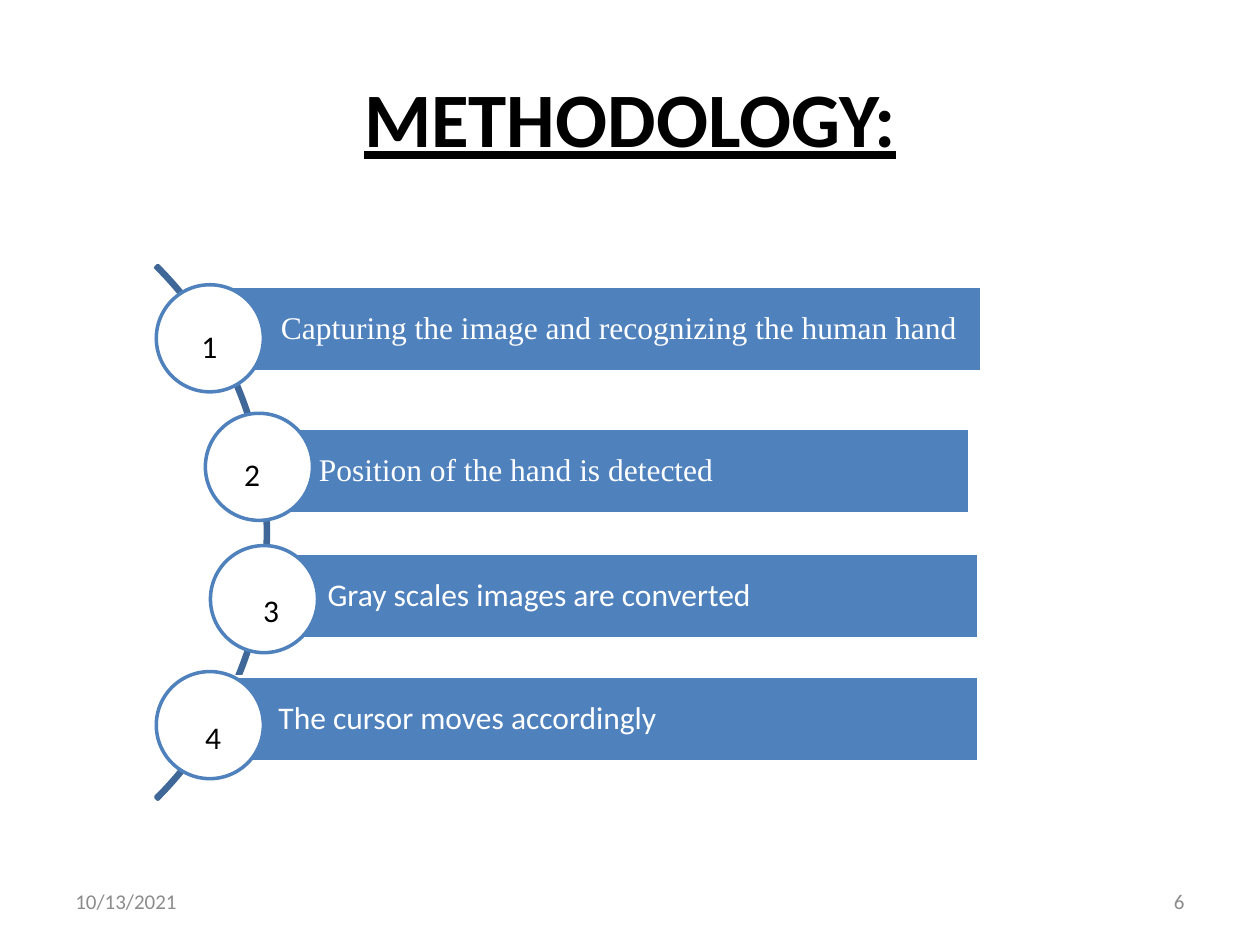
from pptx import Presentation
from pptx.dml.color import RGBColor
from pptx.enum.shapes import MSO_SHAPE as Shape
from pptx.enum.text import MSO_ANCHOR as Anchor, MSO_AUTO_SIZE as AutoSize, PP_ALIGN as Align
from pptx.util import Inches, Pt

BLUE, ARC_BLUE, WHITE, BLACK, GRAY = "4F81BD", "3F6797", "FFFFFF", "000000", "8C8C8C"


def write(target, text, size=18, font="Calibri", color=BLACK, bold=False, underline=False,
          align=Align.LEFT, anchor=Anchor.MIDDLE, wrap=True, margins=(0.1, 0.05, 0.1, 0.05),
          spacing=None):
    frame = target.text_frame
    frame.auto_size = AutoSize.NONE if wrap else AutoSize.SHAPE_TO_FIT_TEXT
    frame.word_wrap = wrap
    frame.vertical_anchor = anchor
    frame.margin_left, frame.margin_top, frame.margin_right, frame.margin_bottom = map(Inches, margins)
    paragraph = frame.paragraphs[0]
    paragraph.alignment = align
    paragraph.line_spacing = spacing
    run = paragraph.add_run()
    run.text = text
    run.font.size = Pt(size)
    run.font.name = font
    run.font.bold = bold
    run.font.underline = underline
    run.font.color.rgb = RGBColor.from_string(color)


def draw(kind, left, top, width, height, line, fill=None):
    shape = slide.shapes.add_shape(kind, Inches(left), Inches(top), Inches(width), Inches(height))
    shape.shadow.inherit = False
    if fill:
        shape.fill.solid()
        shape.fill.fore_color.rgb = RGBColor.from_string(fill)
    else:
        shape.fill.background()
    shape.line.color.rgb = RGBColor.from_string(line)
    shape.line.width = Pt(2)
    return shape


prs = Presentation()
prs.slide_width, prs.slide_height = Inches(10), Inches(7.5)
slide = prs.slides.add_slide(prs.slide_layouts[5])

title = slide.shapes.title
title.left, title.top, title.width, title.height = map(Inches, (0.5, 0.3, 9, 1.25))
write(title, "METHODOLOGY:", size=44, bold=True, underline=True, align=Align.CENTER)

for footer, left, align in [("10/13/2021", 0.5, Align.LEFT), ("6", 7.17, Align.RIGHT)]:
    box = slide.shapes.add_textbox(Inches(left), Inches(6.95), Inches(2.33), Inches(0.4))
    write(box, footer, size=12, color=GRAY, align=align)

arc = draw(Shape.BLOCK_ARC, -3.86, 1.23, 5.99, 5.99, ARC_BLUE)
for index, value in enumerate((189, 27, 0.004)):
    arc.adjustments[index] = value

steps = [
    ("Capturing the image and recognizing the human hand", "Times New Roman",
     (1.69, 2.27, 6.1), (1.24, 2.26), (1.5, 2.55)),
    ("Position of the hand is detected", "Times New Roman",
     (1.99, 3.4, 5.71), (1.63, 3.28), (1.84, 3.56)),
    ("Gray scales images are converted", "Calibri",
     (2.06, 4.39, 5.71), (1.67, 4.33), (1.99, 4.64)),
    ("The cursor moves accordingly", "Calibri",
     (1.67, 5.37, 6.1), (1.24, 5.33), (1.53, 5.65)),
]
for number, (step, font, bar_place, circle_place, number_place) in enumerate(steps, 1):
    bar = draw(Shape.RECTANGLE, *bar_place, 0.68, WHITE, BLUE)
    write(bar, step, font=font, color=WHITE, margins=(0.54, 0.05, 0.05, 0.05), spacing=0.9)
    draw(Shape.OVAL, *circle_place, 0.85, 0.85, BLUE, WHITE)
    label = slide.shapes.add_textbox(*map(Inches, number_place), Inches(0.34), Inches(0.4))
    write(label, str(number), anchor=Anchor.TOP, wrap=False)

prs.save("out.pptx")
